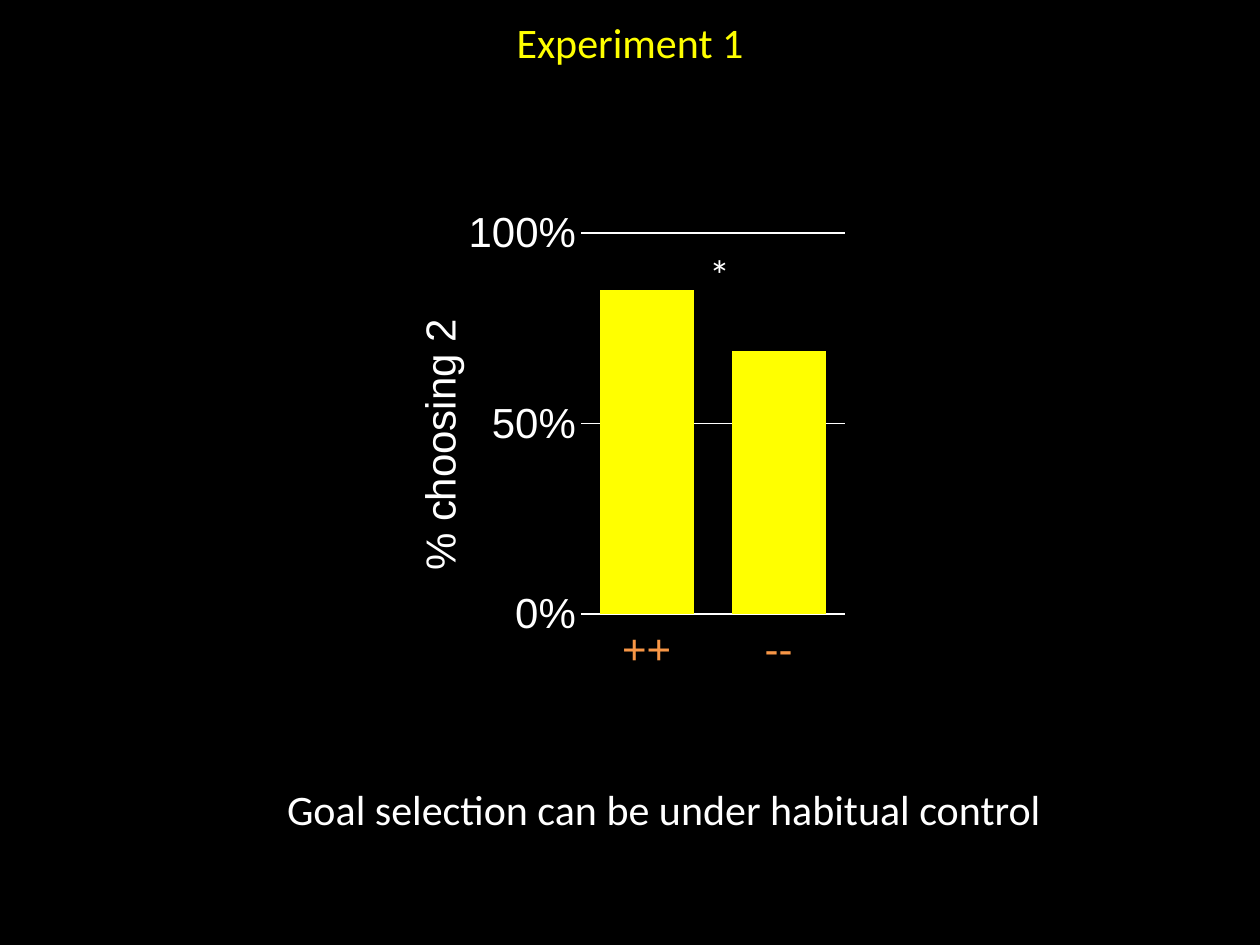
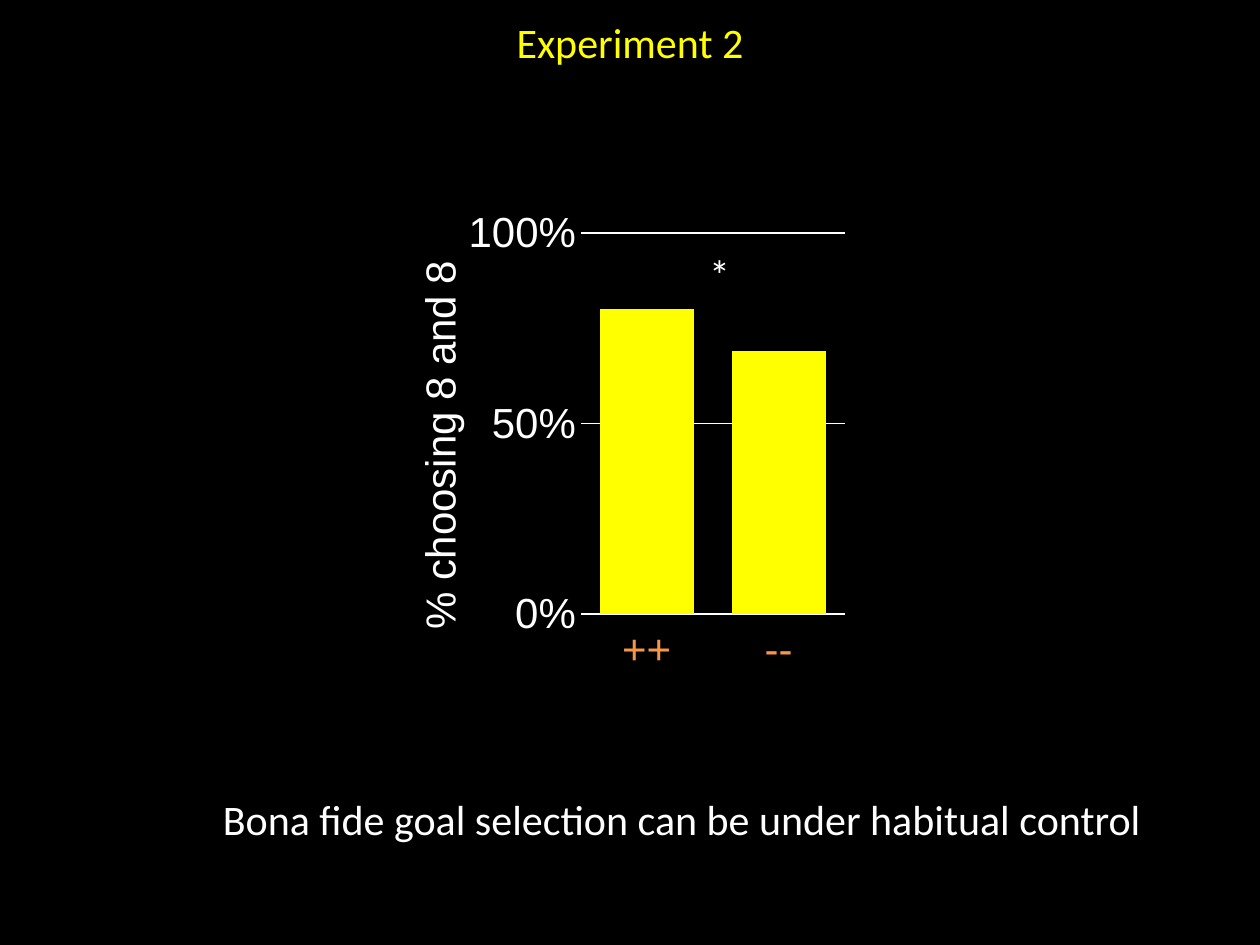
"""Build two slides that show the column chart and conclusion of each experiment."""
from dataclasses import dataclass

from lxml.etree import SubElement
from pptx import Presentation
from pptx.chart.chart import Chart
from pptx.chart.data import CategoryChartData
from pptx.dml.color import RGBColor
from pptx.enum.chart import XL_CHART_TYPE, XL_TICK_LABEL_POSITION, XL_TICK_MARK
from pptx.enum.text import MSO_ANCHOR, MSO_AUTO_SIZE, PP_ALIGN
from pptx.oxml.ns import qn
from pptx.presentation import Presentation as Deck
from pptx.slide import Slide
from pptx.text.text import Font
from pptx.util import Inches, Pt

BLACK = RGBColor(0x00, 0x00, 0x00)
WHITE = RGBColor(0xFF, 0xFF, 0xFF)
YELLOW = RGBColor(0xFF, 0xFF, 0x00)
ORANGE = RGBColor(0xF7, 0x96, 0x46)
TEXT_FONT = "Calibri"
CHART_FONT = "Arial"
TEXT_SIZE = Pt(24)
LINE_HEIGHT = Inches(0.5)
TITLE_ONLY = 5


@dataclass(frozen=True)
class Box:
    left: float
    top: float
    width: float


@dataclass(frozen=True)
class Experiment:
    title: str
    axis_title: str
    axis_title_top: float
    shares: tuple[float, float]
    conclusion: str
    conclusion_box: Box


EXPERIMENTS = (
    Experiment("Experiment 1", "% choosing 2", 0.25, (0.85, 0.69),
               "Goal selection can be under habitual control", Box(2.18, 6.17, 6.24)),
    Experiment("Experiment 2", "% choosing 8 and 8", 0.13, (0.8, 0.69),
               "Bona fide goal selection can be under habitual control", Box(1.67, 6.25, 7.62)),
)
SIGNIFICANCE_BOX = Box(5.53, 1.92, 0.37)


def style_font(font: Font, name: str, color: RGBColor) -> None:
    """Apply the common size with a typeface and colour."""
    font.name = name
    font.size = TEXT_SIZE
    font.bold = False
    font.color.rgb = color


def set_layout(parent, **settings: str | float) -> None:
    """Give a plot area or an axis title a manual layout."""
    layout = parent.find(qn("c:layout"))
    if layout is None:
        layout = SubElement(parent, qn("c:layout"))
        anchor = parent.find(qn("c:tx"))
        if anchor is not None:
            anchor.addnext(layout)
        else:
            parent.insert(0, layout)
    for old in list(layout):
        layout.remove(old)
    manual = SubElement(layout, qn("c:manualLayout"))
    for tag, value in settings.items():
        SubElement(manual, qn(f"c:{tag}")).set("val", str(value))


def add_title(slide: Slide, text: str, width: int) -> None:
    """Place the slide title across the top."""
    title = slide.shapes.title
    title.left, title.top, title.width, title.height = 0, Inches(0.08), width, LINE_HEIGHT
    frame = title.text_frame
    frame.text = text
    frame.word_wrap = True
    frame.auto_size = MSO_AUTO_SIZE.SHAPE_TO_FIT_TEXT
    frame.vertical_anchor = MSO_ANCHOR.TOP
    heading = frame.paragraphs[0]
    heading.alignment = PP_ALIGN.CENTER
    style_font(heading.font, TEXT_FONT, YELLOW)


def add_label(slide: Slide, text: str, box: Box) -> None:
    """Add one line of white text."""
    label = slide.shapes.add_textbox(
        Inches(box.left), Inches(box.top), Inches(box.width), LINE_HEIGHT)
    frame = label.text_frame
    frame.text = text
    frame.word_wrap = False
    frame.auto_size = MSO_AUTO_SIZE.SHAPE_TO_FIT_TEXT
    style_font(frame.paragraphs[0].font, TEXT_FONT, WHITE)


def style_axes(chart: Chart, experiment: Experiment) -> None:
    """Format the category axis, the percentage axis and its title."""
    conditions, percent = chart.category_axis, chart.value_axis
    for axis, color in ((conditions, ORANGE), (percent, WHITE)):
        axis.major_tick_mark = axis.minor_tick_mark = XL_TICK_MARK.NONE
        style_font(axis.tick_labels.font, CHART_FONT, color)
    conditions.tick_label_position = XL_TICK_LABEL_POSITION.LOW
    percent.minimum_scale, percent.maximum_scale, percent.major_unit = 0, 1, 0.5
    percent.tick_labels.number_format = "#,##0%"
    percent.tick_labels.number_format_is_linked = False
    percent.format.line.fill.background()
    for line in (conditions.format.line, percent.major_gridlines.format.line):
        line.color.rgb = WHITE
        line.width = Pt(1)
    caption = percent.axis_title
    caption.text_frame.text = experiment.axis_title
    style_font(caption.text_frame.paragraphs[0].font, CHART_FONT, WHITE)
    set_layout(caption._element, xMode="edge", yMode="edge",
               x=0.05, y=experiment.axis_title_top)


def add_share_chart(slide: Slide, experiment: Experiment) -> None:
    """Add the column chart of choice shares."""
    data = CategoryChartData(number_format="General")
    data.categories = ("++", "--")
    data.add_series("Region 1", experiment.shares)
    chart = slide.shapes.add_chart(
        XL_CHART_TYPE.COLUMN_CLUSTERED,
        Inches(3.03), Inches(1.5), Inches(3.68), Inches(3.88), data).chart
    chart.has_title = chart.has_legend = False
    chart.font.name = TEXT_FONT
    chart.font.size = Pt(10)
    chart.font.color.rgb = WHITE
    columns = chart.plots[0]
    columns.gap_width = 40
    columns.vary_by_categories = False
    fill = columns.series[0].format.fill
    fill.solid()
    fill.fore_color.rgb = YELLOW
    style_axes(chart, experiment)
    set_layout(chart._chartSpace.chart.plotArea, layoutTarget="inner",
               xMode="edge", yMode="edge", x=0.43, y=0.09, w=0.57, h=0.78)


def add_experiment(deck: Deck, experiment: Experiment) -> None:
    """Add the slide of one experiment."""
    slide = deck.slides.add_slide(deck.slide_layouts[TITLE_ONLY])
    add_title(slide, experiment.title, deck.slide_width)
    add_share_chart(slide, experiment)
    add_label(slide, "*", SIGNIFICANCE_BOX)
    add_label(slide, experiment.conclusion, experiment.conclusion_box)


def main() -> None:
    """Build and save the presentation."""
    deck = Presentation()
    deck.slide_width, deck.slide_height = Inches(10), Inches(7.5)
    backdrop = deck.slide_master.background.fill
    backdrop.solid()
    backdrop.fore_color.rgb = BLACK
    for experiment in EXPERIMENTS:
        add_experiment(deck, experiment)
    deck.save("out.pptx")


if __name__ == "__main__":
    main()
